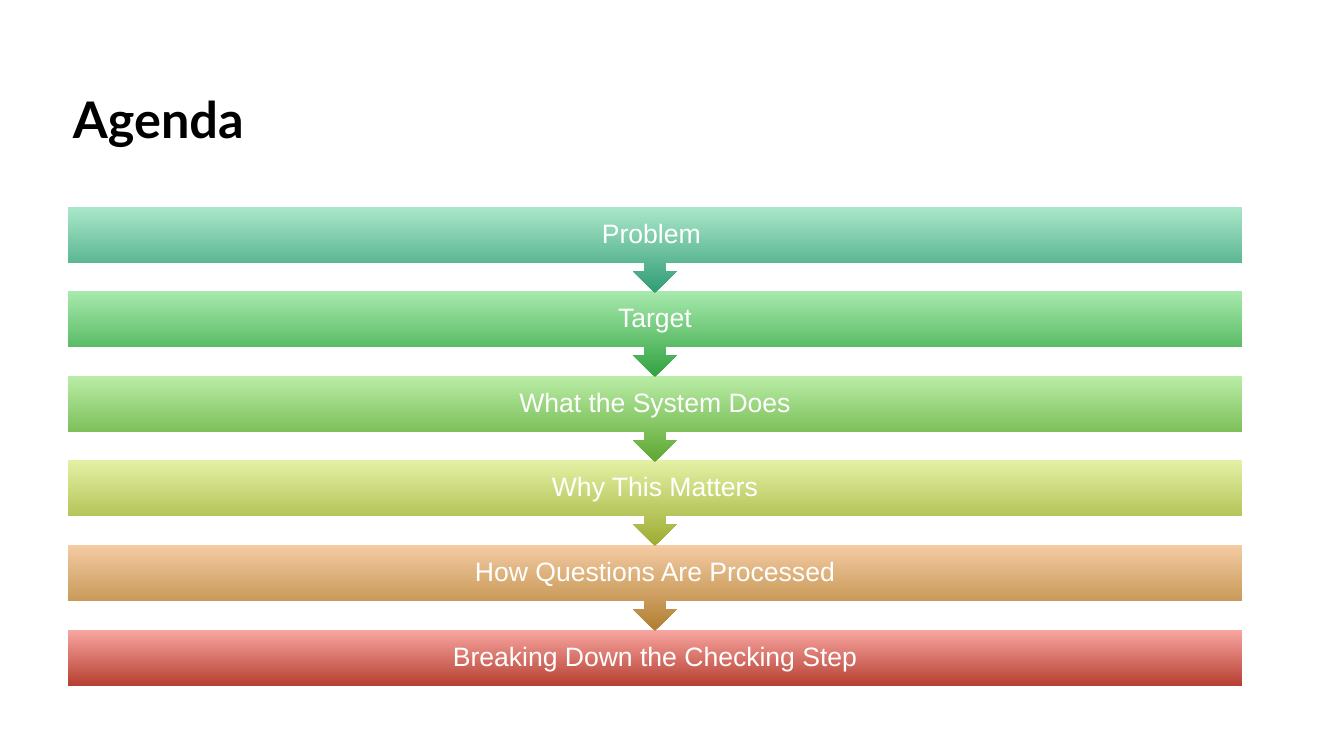
from pptx import Presentation
from pptx.dml.color import RGBColor
from pptx.enum.shapes import MSO_SHAPE as Shape
from pptx.enum.text import MSO_ANCHOR as Anchor, PP_ALIGN as Align
from pptx.util import Pt

TITLE = "Agenda"
STEPS = [
    ("Problem ", "319C75", "AAE7CA"),
    ("Target", "31A240", "A8EAAD"),
    ("What the System Does", "5DA731", "B9EDA6"),
    ("Why This Matters", "9DAC31", "E4F1A5"),
    ("How Questions Are Processed", "B17F31", "F4CBA3"),
    ("Breaking Down the Checking Step", "B63F31", "F8A6A1"),
]
WIDE, HIGH = 1344, 756
LEFT, SPAN = 68, 1174
FIRST, LAST = 207, 630
BAR, CALL = 56, 86


def px(n):
    return round(n * 12192000 / WIDE)


def color(code):
    return RGBColor.from_string(code)


def write(shape, text, size=19, font="Arial", ink="FFFFFF", bold=False,
          align=Align.CENTER, inset=15):
    frame = shape.text_frame
    frame.word_wrap = True
    frame.vertical_anchor = Anchor.MIDDLE
    frame.margin_left = frame.margin_right = px(inset)
    frame.margin_top = frame.margin_bottom = px(inset)
    para = frame.paragraphs[0]
    para.alignment = align
    para.line_spacing = 0.9
    run = para.add_run()
    run.text = text
    run.font.size = Pt(size)
    run.font.name = font
    run.font.bold = bold
    run.font.color.rgb = color(ink)


def add_step(slide, row, text, dark, light):
    final = row == len(STEPS) - 1
    kind = Shape.RECTANGLE if final else Shape.DOWN_ARROW_CALLOUT
    tall = BAR if final else CALL
    top = FIRST + (LAST - FIRST) * row // (len(STEPS) - 1)
    step = slide.shapes.add_shape(kind, px(LEFT), px(top), px(SPAN), px(tall))
    if not final:
        step.adjustments[3] = round(BAR / CALL, 2)
    step.shadow.inherit = False
    step.line.fill.background()
    step.fill.gradient()
    step.fill.gradient_angle = 90
    for stop, code, place in zip(step.fill.gradient_stops, (dark, light), (0, 1)):
        stop.color.rgb = color(code)
        stop.position = place
    write(step, text)


def main():
    """Build the agenda slide as a chain of arrow callouts."""
    deck = Presentation()
    deck.slide_width, deck.slide_height = px(WIDE), px(HIGH)
    slide = deck.slides.add_slide(deck.slide_layouts[5])
    title = slide.shapes.title
    title.left, title.top = px(LEFT), px(60)
    title.width, title.height = px(SPAN), px(125)
    write(title, TITLE, size=36, font="Lato", ink="000000", bold=True,
          align=Align.LEFT, inset=5)
    for row, step in reversed(list(enumerate(STEPS))):
        add_step(slide, row, *step)
    deck.save("out.pptx")


if __name__ == "__main__":
    main()
